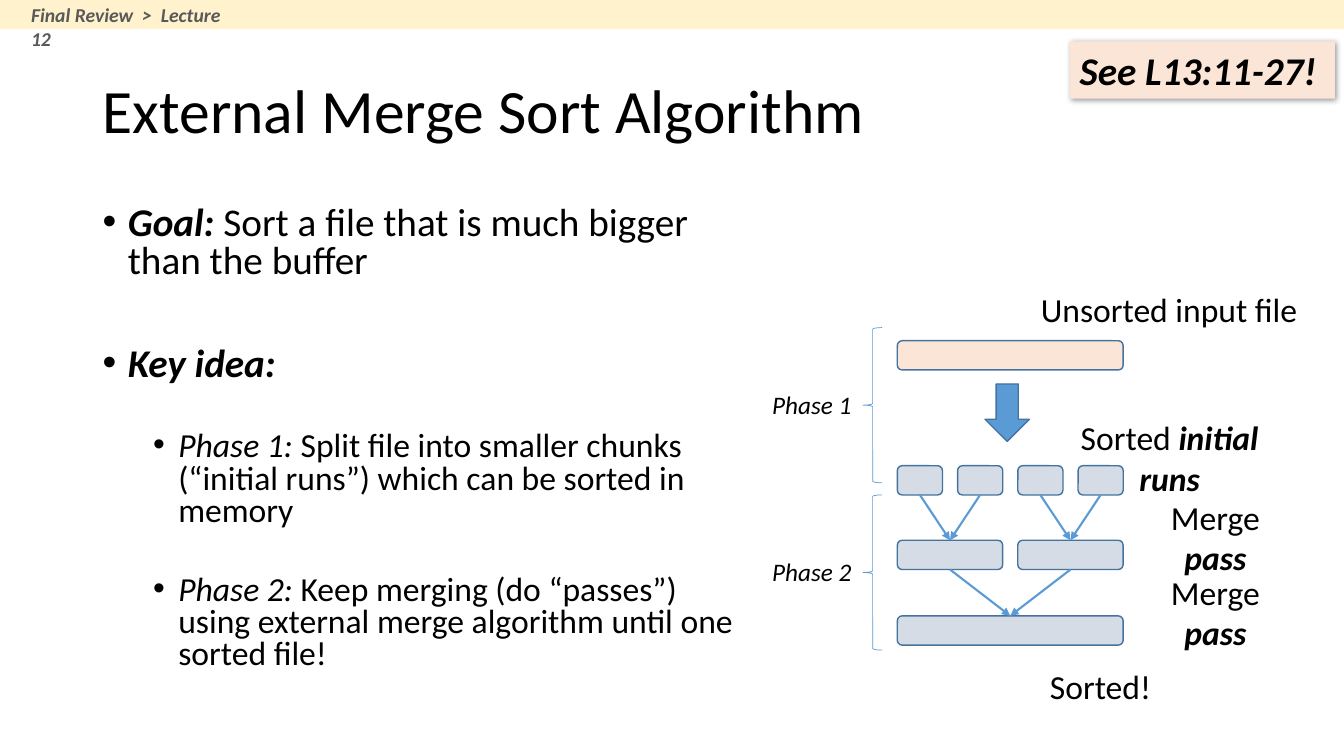
from dataclasses import dataclass

import lxml.etree
import pptx
import pptx.dml.color
import pptx.enum.shapes
import pptx.enum.text
import pptx.oxml
import pptx.oxml.ns
import pptx.util

Inches = pptx.util.Inches
Pt = pptx.util.Pt
Kind = pptx.enum.shapes.MSO_SHAPE
Align = pptx.enum.text.PP_ALIGN
Anchor = pptx.enum.text.MSO_ANCHOR
qn = pptx.oxml.ns.qn


@dataclass(frozen=True)
class Theme:
    font: str = "Calibri"
    ink: str = "000000"
    muted: str = "595959"
    banner: str = "FFF2CC"
    peach: str = "FBE5D6"
    run: str = "D6DCE5"
    blue: str = "5B9BD5"
    outline: str = "43739E"
    title: int = 44
    large: int = 28
    label: int = 24
    phase: int = 18
    crumb: int = 14


THEME = Theme()


@dataclass(frozen=True)
class Span:
    text: str
    bold: bool = False
    italic: bool = False


@dataclass(frozen=True)
class Label:
    at: tuple[float, float, float, float]
    spans: tuple[Span, ...]
    size: int = THEME.label
    color: str = THEME.ink
    align: Align = Align.CENTER


@dataclass(frozen=True)
class Bullet:
    spans: tuple[Span, ...]
    size: int
    indent: float
    before: float


@dataclass(frozen=True)
class Row:
    top: float
    count: int
    fill: str


def rgb(value: str) -> pptx.dml.color.RGBColor:
    return pptx.dml.color.RGBColor.from_string(value)


def write(para, spans: tuple[Span, ...], size: int, color: str = THEME.ink) -> None:
    for span in spans:
        run = para.add_run()
        run.text = span.text
        values = {"name": THEME.font, "size": Pt(size), "bold": span.bold, "italic": span.italic}
        for name, value in values.items():
            setattr(run.font, name, value)
        run.font.color.rgb = rgb(color)


def add_label(page, label: Label):
    box = page.shapes.add_textbox(*map(Inches, label.at))
    box.text_frame.word_wrap = True
    para = box.text_frame.paragraphs[0]
    para.alignment = label.align
    write(para, label.spans, label.size, label.color)
    return box


def add_block(page, kind: Kind, at: tuple, fill: str | None, line: str | None = None, width: float = 1):
    block = page.shapes.add_shape(kind, *map(Inches, at))
    block.shadow.inherit = False
    if fill:
        block.fill.solid()
        block.fill.fore_color.rgb = rgb(fill)
    else:
        block.fill.background()
    if line:
        block.line.color.rgb = rgb(line)
        block.line.width = Pt(width)
    else:
        block.line.fill.background()
    return block


def add_arrow(page, start: tuple[float, float], end: tuple[float, float]) -> None:
    arrow = page.shapes.add_connector(
        pptx.enum.shapes.MSO_CONNECTOR.STRAIGHT, *map(Inches, start + end))
    arrow.line.color.rgb = rgb(THEME.blue)
    arrow.line.width = Pt(1.5)
    lxml.etree.SubElement(arrow.line._get_or_add_ln(), qn("a:tailEnd"), type="triangle")
    lxml.etree.SubElement(arrow._element.spPr, qn("a:effectLst"))


def add_bullets(page, at: tuple, bullets: list[Bullet]) -> None:
    frame = page.shapes.add_textbox(*map(Inches, at)).text_frame
    frame.word_wrap = True
    for index, bullet in enumerate(bullets):
        para = frame.add_paragraph() if index else frame.paragraphs[0]
        values = {"line_spacing": 0.8, "space_before": Pt(bullet.before), "alignment": Align.LEFT}
        for name, value in values.items():
            setattr(para, name, value)
        properties = para._p.get_or_add_pPr()
        properties.set("marL", str(Inches(bullet.indent)))
        properties.set("indent", str(Inches(-0.25)))
        lxml.etree.SubElement(properties, qn("a:buFont"), typeface="Arial")
        lxml.etree.SubElement(properties, qn("a:buChar"), char="•")
        write(para, bullet.spans, bullet.size)


def add_soft_shadow(block) -> None:
    effects = block._element.spPr.find(qn("a:effectLst"))
    shadow = lxml.etree.SubElement(
        effects, qn("a:outerShdw"), blurRad=str(Pt(4)), dist=str(Pt(1)), dir="2700000")
    color = lxml.etree.SubElement(shadow, qn("a:srgbClr"), val=THEME.ink)
    lxml.etree.SubElement(color, qn("a:alpha"), val="40000")


# Diagram grid: each row of runs spans the same width
LEFT, WIDTH, HEIGHT, GAP = 8.9, 2.24, 0.29, 0.15
ROWS = [Row(3.38, 1, THEME.peach), Row(4.62, 4, THEME.run),
        Row(5.36, 2, THEME.run), Row(6.11, 1, THEME.run)]


def add_row(page, row: Row) -> list[float]:
    """Draw the cells of a row and return their centres."""
    cell = (WIDTH - (row.count - 1) * GAP) / row.count
    lefts = [LEFT + index * (cell + GAP) for index in range(row.count)]
    for left in lefts:
        add_block(page, Kind.ROUNDED_RECTANGLE, (left, row.top, cell, HEIGHT), row.fill, THEME.outline)
    return [left + cell / 2 for left in lefts]


MERGE = (Span("Merge "), Span("pass", True, True))
LABELS = [
    Label((10.21, 2.82, 2.77, 0.5), (Span("Unsorted input file"),)),
    Label((10.31, 4.09, 2.58, 0.5), (Span("Sorted "), Span("initial runs", True, True))),
    Label((11.18, 4.88, 1.75, 0.5), MERGE),
    Label((11.18, 5.62, 1.75, 0.5), MERGE),
    Label((10.31, 6.56, 1.21, 0.5), (Span("Sorted!"),)),
]
BULLETS = [
    Bullet((Span("Goal: ", True, True), Span("Sort a file that is much bigger than the buffer")),
           THEME.large, 0.25, 0),
    Bullet((Span("Key idea:", True, True),), THEME.large, 0.25, 47),
    Bullet((Span("Phase 1: ", italic=True),
            Span("Split file into smaller chunks (“initial runs”) which can be sorted in memory")),
           THEME.label, 0.75, 33.4),
    Bullet((Span("Phase 2: ", italic=True),
            Span("Keep merging (do “passes”) using external merge algorithm until one sorted file!")),
           THEME.label, 0.75, 33.4),
]


def main() -> None:
    deck = pptx.Presentation()
    deck.slide_width, deck.slide_height = Inches(13.33), Inches(7.5)
    page = deck.slides.add_slide(deck.slide_layouts[6])

    # Title and body
    title = add_label(page, Label((0.92, 0.4, 11.5, 1.45), (Span("External Merge Sort Algorithm"),),
                                  THEME.title, align=Align.LEFT))
    title.text_frame.vertical_anchor = Anchor.MIDDLE
    title.text_frame.paragraphs[0].line_spacing = 0.9
    add_bullets(page, (0.92, 2, 6.65, 4.76), BULLETS)

    # Banner with breadcrumb
    add_block(page, Kind.RECTANGLE, (0, 0, 13.33, 0.29), THEME.banner)
    add_label(page, Label((0.21, -0.02, 2.27, 0.34), (Span("Final Review  >  Lecture 12", True, True),),
                          THEME.crumb, THEME.muted, Align.LEFT))

    # Rows of runs, with merge arrows below the split
    centers = [add_row(page, row) for row in ROWS]
    for level in (1, 2):
        for index, center in enumerate(centers[level]):
            add_arrow(page, (center, ROWS[level].top + HEIGHT),
                      (centers[level + 1][index // 2], ROWS[level + 1].top))
    add_block(page, Kind.DOWN_ARROW, (9.77, 3.81, 0.44, 0.57), THEME.blue, THEME.outline)

    # Phase braces and labels
    for phase, (brace_top, text_top) in enumerate([(3.25, 3.81), (4.91, 5.47)], start=1):
        add_block(page, Kind.LEFT_BRACE, (8.56, brace_top, 0.19, 1.54), None, THEME.blue, 0.5)
        add_label(page, Label((7.56, text_top, 1, 0.4), (Span(f"Phase {phase}", italic=True),),
                              THEME.phase, align=Align.LEFT))
    for label in LABELS:
        add_label(page, label)

    # Lecture reference badge
    badge = add_block(page, Kind.RECTANGLE, (10.61, 0.41, 2.63, 0.57), THEME.peach)
    add_soft_shadow(badge)
    badge.text_frame.vertical_anchor = Anchor.TOP
    para = badge.text_frame.paragraphs[0]
    para.alignment = Align.LEFT
    write(para, (Span("See L13:11-27!", True, True),), THEME.large)

    deck.save("out.pptx")


if __name__ == "__main__":
    main()
